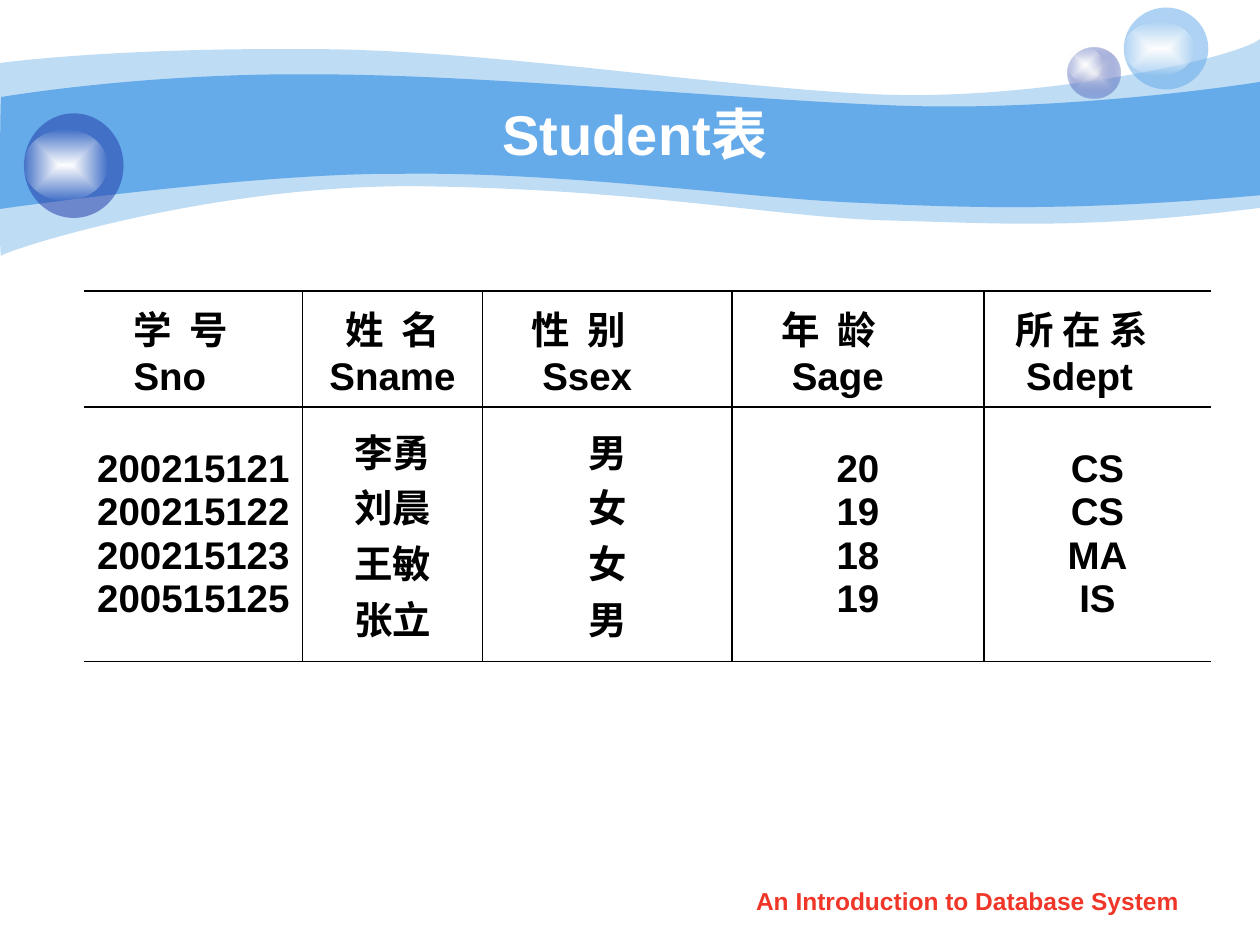
from dataclasses import dataclass

from lxml import etree
from pptx import Presentation
from pptx.dml.color import RGBColor
from pptx.enum.shapes import MSO_SHAPE
from pptx.enum.text import MSO_ANCHOR, PP_ALIGN
from pptx.oxml import parse_xml
from pptx.oxml.ns import nsdecls, qn
from pptx.util import Inches, Pt


@dataclass(frozen=True)
class Theme:
    font: str = "Arial"
    sky: str = "65AAE9"
    navy: str = "233DA9"
    pearl: str = "E1E2ED"
    white: str = "FFFFFF"
    ink: str = "000000"
    red: str = "F03628"
    title_size: int = 32
    table_size: int = 22
    footer_size: int = 14
    rule_width: int = 1


THEME = Theme()

# Each wave: start point, then cubic segments or straight points, in inches.
OUTER_WAVE = [
    (0, 0.5),
    (0.24, 0.47, 1.07, 0.38, 2.47, 0.39),
    (3.86, 0.39, 5.75, 0.7, 6.99, 0.75),
    (8.22, 0.8, 9.8, 0.47, 10, 0.31),
    (10, 1.65),
    (8.58, 1.83, 7.88, 1.77, 7.05, 1.75),
    (6.22, 1.73, 5.15, 1.51, 3.43, 1.48),
    (1.72, 1.44, 0.04, 1.99, 0.01, 2.03),
    (-0.01, 2.08, 0, 0.75, 0, 0.5),
]
INNER_WAVE = [
    (0.01, 0.77),
    (0.02, 0.77, 1.1, 0.58, 2.48, 0.59),
    (3.86, 0.59, 5.95, 0.8, 7.18, 0.84),
    (8.41, 0.88, 9.76, 0.69, 10, 0.65),
    (10, 1.55),
    (8.53, 1.68, 7.65, 1.65, 6.82, 1.61),
    (5.99, 1.58, 4.47, 1.36, 3.17, 1.38),
    (2.03, 1.37, -0.02, 1.66, -0.01, 1.66),
    (0, 1.66, 0, 0.77, 0.01, 0.77),
]

# Width, header lines, header indent (None means centred), values.
COLUMNS = [
    (1.73, ["学  号", "Sno"], 0.29, ["200215121", "200215122", "200215123", "200515125"]),
    (1.43, ["姓  名", "Sname"], None, ["李勇", "刘晨", "王敏", "张立"]),
    (1.98, ["性  别", " Ssex"], 0.29, ["男", "女", "女", "男"]),
    (2, ["年  龄", " Sage"], 0.29, ["20", "19", "18", "19"]),
    (1.8, ["所 在 系", " Sdept"], 0.15, ["CS", "CS", "MA", "IS"]),
]
ROW_HEIGHTS = [0.92, 2.02]


def inches(box):
    return [Inches(length) for length in box]


def fill_solid(shape, color, alpha=100):
    shape.fill.solid()
    shape.fill.fore_color.rgb = RGBColor.from_string(color)
    if alpha < 100:
        color_xml = shape._element.spPr.find(qn("a:solidFill"))[0]
        etree.SubElement(color_xml, qn("a:alpha"), val=str(alpha * 1000))


def fill_glow(shape, center, edge, edge_alpha):
    """Fill with a gradient that runs from the middle out to the edge."""
    shape.fill.gradient()
    gradient = shape._element.spPr.find(qn("a:gradFill"))
    gradient.getparent().replace(gradient, parse_xml(
        f'<a:gradFill {nsdecls("a")} rotWithShape="1"><a:gsLst>'
        f'<a:gs pos="0"><a:srgbClr val="{center}"/></a:gs>'
        f'<a:gs pos="100000"><a:srgbClr val="{edge}">'
        f'<a:alpha val="{edge_alpha * 1000}"/></a:srgbClr></a:gs></a:gsLst>'
        '<a:path path="shape"><a:fillToRect l="50000" t="50000" r="50000" b="50000"/>'
        '</a:path></a:gradFill>'))


def bend_lines(shape, segments):
    """Turn the straight sides that stand for cubic segments into curves."""
    sides = list(shape._element.iter(qn("a:lnTo")))
    for side, segment in zip(sides, segments):
        if len(segment) == 2:
            continue
        curve = etree.Element(qn("a:cubicBezTo"))
        for x, y in zip(segment[::2], segment[1::2]):
            etree.SubElement(curve, qn("a:pt"), x=str(Inches(x) - shape.left),
                             y=str(Inches(y) - shape.top))
        side.getparent().replace(side, curve)


def add_wave(slide, outline, alpha=100):
    start, *segments = outline
    builder = slide.shapes.build_freeform(*inches(start))
    builder.add_line_segments([inches(segment[-2:]) for segment in segments], close=True)
    wave = builder.convert_to_shape()
    bend_lines(wave, segments)
    wave.shadow.inherit = False
    wave.line.fill.background()
    fill_solid(wave, THEME.sky, alpha)


def add_disc(slide, box):
    disc = slide.shapes.add_shape(MSO_SHAPE.OVAL, *inches(box))
    disc.shadow.inherit = False
    disc.line.fill.background()
    return disc


def add_bubble(slide, box, shine_size, shine_top, color, alpha, center=None):
    """A tinted disc with a white shine at its left side."""
    left, top, _, _ = box
    disc = add_disc(slide, box)
    if center:
        fill_glow(disc, center, color, alpha)
    else:
        fill_solid(disc, color, alpha)
    shine = add_disc(slide, (left, top + shine_top, *shine_size))
    fill_glow(shine, THEME.white, THEME.white, 0)


def add_banner(slide):
    add_wave(slide, OUTER_WAVE, alpha=41)
    add_wave(slide, INNER_WAVE)
    add_bubble(slide, (8.47, 0.38, 0.42, 0.4), (0.28, 0.27), 0, THEME.navy, 31, THEME.pearl)
    add_bubble(slide, (8.92, 0.06, 0.67, 0.65), (0.56, 0.43), 0.11, THEME.sky, 53)
    add_bubble(slide, (0.19, 0.9, 0.79, 0.83), (0.66, 0.56), 0.13, THEME.navy, 53)


def write_lines(frame, lines, size, color, indent=None):
    """One paragraph a line, centred unless a first-line indent is given."""
    frame.text = "\n".join(lines)
    for paragraph in frame.paragraphs:
        paragraph.font.name = THEME.font
        paragraph.font.size = Pt(size)
        paragraph.font.bold = True
        paragraph.font.color.rgb = RGBColor.from_string(color)
        if indent is None:
            paragraph.alignment = PP_ALIGN.CENTER
        else:
            properties = paragraph._p.get_or_add_pPr()
            properties.set("marL", "0")
            properties.set("indent", str(Inches(indent)))


def add_label(slide, box, text, size, color, anchor=MSO_ANCHOR.TOP):
    frame = slide.shapes.add_textbox(*inches(box)).text_frame
    frame.word_wrap = True
    frame.vertical_anchor = anchor
    write_lines(frame, [text], size, color)


def rule_cell(cell, ruled_sides):
    properties = cell._tc.get_or_add_tcPr()
    for position, side in enumerate("LRTB"):
        line = (f'<a:solidFill><a:srgbClr val="{THEME.ink}"/></a:solidFill>'
                if side in ruled_sides else "<a:noFill/>")
        properties.insert(position, parse_xml(
            f'<a:ln{side} {nsdecls("a")} w="{Pt(THEME.rule_width)}">{line}</a:ln{side}>'))


def add_student_table(slide, box):
    table = slide.shapes.add_table(len(ROW_HEIGHTS), len(COLUMNS), *inches(box)).table
    table.first_row = table.horz_banding = False
    for row, height in zip(table.rows, ROW_HEIGHTS):
        row.height = Inches(height)
    last = len(COLUMNS) - 1
    for index, (width, header, indent, values) in enumerate(COLUMNS):
        table.columns[index].width = Inches(width)
        sides = "TB" + ("L" if index > 0 else "") + ("R" if index < last else "")
        for row, (lines, offset) in enumerate([(header, indent), (values, None)]):
            cell = table.cell(row, index)
            cell.fill.background()
            cell.vertical_anchor = MSO_ANCHOR.MIDDLE
            write_lines(cell.text_frame, lines, THEME.table_size, THEME.ink, offset)
            rule_cell(cell, sides)


def main():
    deck = Presentation()
    deck.slide_width, deck.slide_height = Inches(10), Inches(7.5)
    slide = deck.slides.add_slide(deck.slide_layouts[6])
    add_banner(slide)
    add_label(slide, (1, 0.75, 8.08, 0.62), "Student表", THEME.title_size, THEME.white,
              MSO_ANCHOR.MIDDLE)
    add_student_table(slide, (0.67, 2.31, 8.95, 2.94))
    add_label(slide, (5.71, 6.98, 3.94, 0.35), "An Introduction to Database System",
              THEME.footer_size, THEME.red)
    deck.save("out.pptx")


if __name__ == "__main__":
    main()
